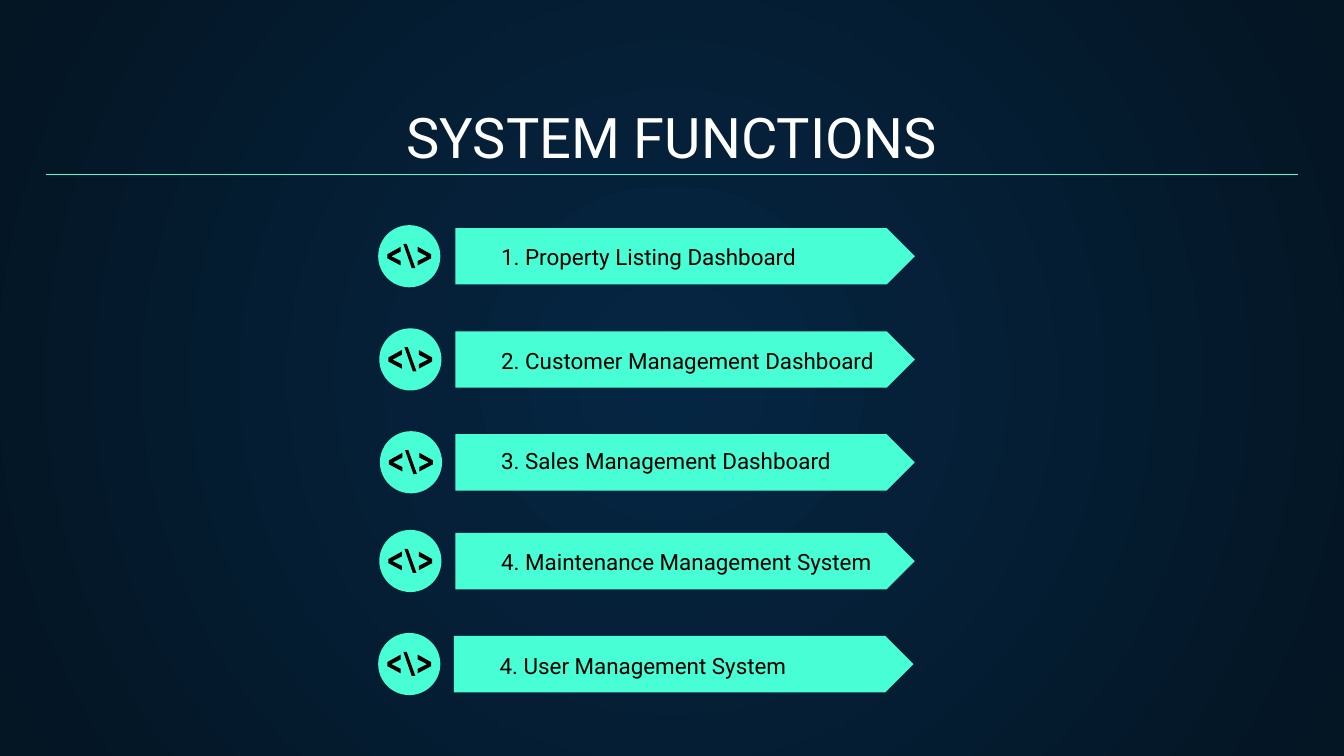
from dataclasses import dataclass

import pptx
import pptx.dml.color
import pptx.enum.shapes
import pptx.enum.text
import pptx.oxml.ns
import pptx.presentation
import pptx.shapes.base
import pptx.slide
import pptx.text.text
import pptx.util
from lxml import etree

Pt = pptx.util.Pt
RGB = pptx.dml.color.RGBColor.from_string
qn = pptx.oxml.ns.qn
Shape = pptx.enum.shapes.MSO_SHAPE
Align = pptx.enum.text.PP_ALIGN


@dataclass(frozen=True)
class Theme:
    centre: str = "052643"
    edge: str = "041523"
    accent: str = "48FFD5"
    heading: str = "FFFFFF"
    ink: str = "000000"
    font: str = "Roboto"
    heading_size: float = 30
    label_size: float = 12
    rule_width: float = 0.75


@dataclass(frozen=True)
class Box:
    left: float
    top: float
    width: float
    height: float

    def lengths(self) -> list[pptx.util.Length]:
        return [Pt(n) for n in (self.left, self.top, self.width, self.height)]


@dataclass(frozen=True)
class Function:
    name: str
    badge_left: float
    banner_left: float
    banner_top: float
    label: Box


THEME = Theme()
BANNER_WIDTH, BANNER_HEIGHT = 246.2, 30.2
BADGE_SIZE = 33.3
BADGE_RISE = 1.6  # badge top above banner top

FUNCTIONS = [
    Function("1. Property Listing Dashboard", 202.6, 243.9, 122.2, Box(261.4, 136.8, 197.3, 15.1)),
    Function("2. Customer Management Dashboard", 203.2, 243.9, 177.5, Box(261.4, 187.2, 237.6, 20.2)),
    Function("3. Sales Management Dashboard", 203.5, 243.9, 232.6, Box(261.4, 242.6, 216.7, 18.7)),
    Function("4. Maintenance Management System", 203.2, 243.9, 285.5, Box(261.4, 295.2, 237.6, 20.2)),
    Function("4. User Management System", 202.6, 243.2, 340.7, Box(260.6, 350.6, 237.6, 20.2)),
]

# Strokes of the code mark, measured from the badge's top left corner.
LEFT_CHEVRON = [(12.1, 21.6), (4.9, 17.8), (4.9, 15.6), (12.1, 11.6),
                (12.1, 14.2), (7.1, 16.7), (12.1, 19.2)]
RIGHT_CHEVRON = [(BADGE_SIZE - x, y) for x, y in LEFT_CHEVRON]
BACKSLASH = [(18, 23), (13.5, 10.1), (15.3, 10.1), (19.9, 23)]


def paint_background(slide: pptx.slide.Slide) -> None:
    """Fill the slide with a gradient that radiates from its middle."""
    fill = slide.background.fill
    fill.gradient()
    for stop, colour in zip(fill.gradient_stops, (THEME.centre, THEME.edge)):
        stop.color.rgb = RGB(colour)
    gradient = slide.element.find(".//" + qn("a:gradFill"))
    gradient.remove(gradient.find(qn("a:lin")))
    radial = etree.SubElement(gradient, qn("a:path"))
    radial.set("path", "circle")
    focus = etree.SubElement(radial, qn("a:fillToRect"))
    for side in "ltrb":
        focus.set(side, "50000")


def write(frame: pptx.text.text.TextFrame, words: str, size: float,
          colour: str, align: Align) -> None:
    frame_format = {
        "word_wrap": True,
        "auto_size": pptx.enum.text.MSO_AUTO_SIZE.NONE,
        "vertical_anchor": pptx.enum.text.MSO_ANCHOR.BOTTOM,
        **{f"margin_{side}": Pt(7.2) for side in ("left", "top", "right", "bottom")},
    }
    for key, value in frame_format.items():
        setattr(frame, key, value)
    paragraph = frame.paragraphs[0]
    paragraph.alignment = align
    run = paragraph.add_run()
    run.text = words
    for key, value in {"name": THEME.font, "size": Pt(size), "bold": False}.items():
        setattr(run.font, key, value)
    run.font.color.rgb = RGB(colour)


def paint(shape: pptx.shapes.base.BaseShape, colour: str) -> None:
    shape.shadow.inherit = False
    shape.fill.solid()
    shape.fill.fore_color.rgb = RGB(colour)
    shape.line.fill.background()


def add_heading(slide: pptx.slide.Slide, words: str) -> None:
    heading, subtitle = slide.placeholders
    subtitle.element.getparent().remove(subtitle.element)
    place = Box(24.5, 50.4, 671, 47.5)
    for key, value in zip(("left", "top", "width", "height"), place.lengths()):
        setattr(heading, key, value)
    write(heading.text_frame, words, THEME.heading_size, THEME.heading, Align.CENTER)


def add_rule(slide: pptx.slide.Slide) -> None:
    rule = slide.shapes.add_connector(
        pptx.enum.shapes.MSO_CONNECTOR.STRAIGHT, Pt(24.5), Pt(93.6), Pt(695.5), Pt(93.6))
    rule.line.color.rgb = RGB(THEME.accent)
    rule.line.width = Pt(THEME.rule_width)
    etree.SubElement(rule.element.spPr, qn("a:effectLst"))


def add_badge(slide: pptx.slide.Slide, left: float, top: float) -> None:
    """Draw a disc with the code mark on it."""
    disc = Box(left, top, BADGE_SIZE, BADGE_SIZE)
    paint(slide.shapes.add_shape(Shape.OVAL, *disc.lengths()), THEME.accent)
    code_mark = slide.shapes.add_group_shape()
    for stroke in (LEFT_CHEVRON, BACKSLASH, RIGHT_CHEVRON):
        start, *rest = [(Pt(left + x), Pt(top + y)) for x, y in stroke]
        outline = code_mark.shapes.build_freeform(*start)
        outline.add_line_segments(rest, close=True)
        paint(outline.convert_to_shape(), THEME.ink)


def add_function(slide: pptx.slide.Slide, function: Function) -> None:
    banner = Box(function.banner_left, function.banner_top, BANNER_WIDTH, BANNER_HEIGHT)
    paint(slide.shapes.add_shape(Shape.PENTAGON, *banner.lengths()), THEME.accent)
    add_badge(slide, function.badge_left, function.banner_top - BADGE_RISE)
    label = slide.shapes.add_textbox(*function.label.lengths())
    write(label.text_frame, function.name, THEME.label_size, THEME.ink, Align.LEFT)


def main() -> None:
    deck = pptx.Presentation()
    deck.slide_width, deck.slide_height = Pt(720), Pt(405)
    slide = deck.slides.add_slide(deck.slide_layouts[0])
    paint_background(slide)
    add_heading(slide, "SYSTEM FUNCTIONS")
    add_rule(slide)
    for function in FUNCTIONS:
        add_function(slide, function)
    deck.save("out.pptx")


if __name__ == "__main__":
    main()
